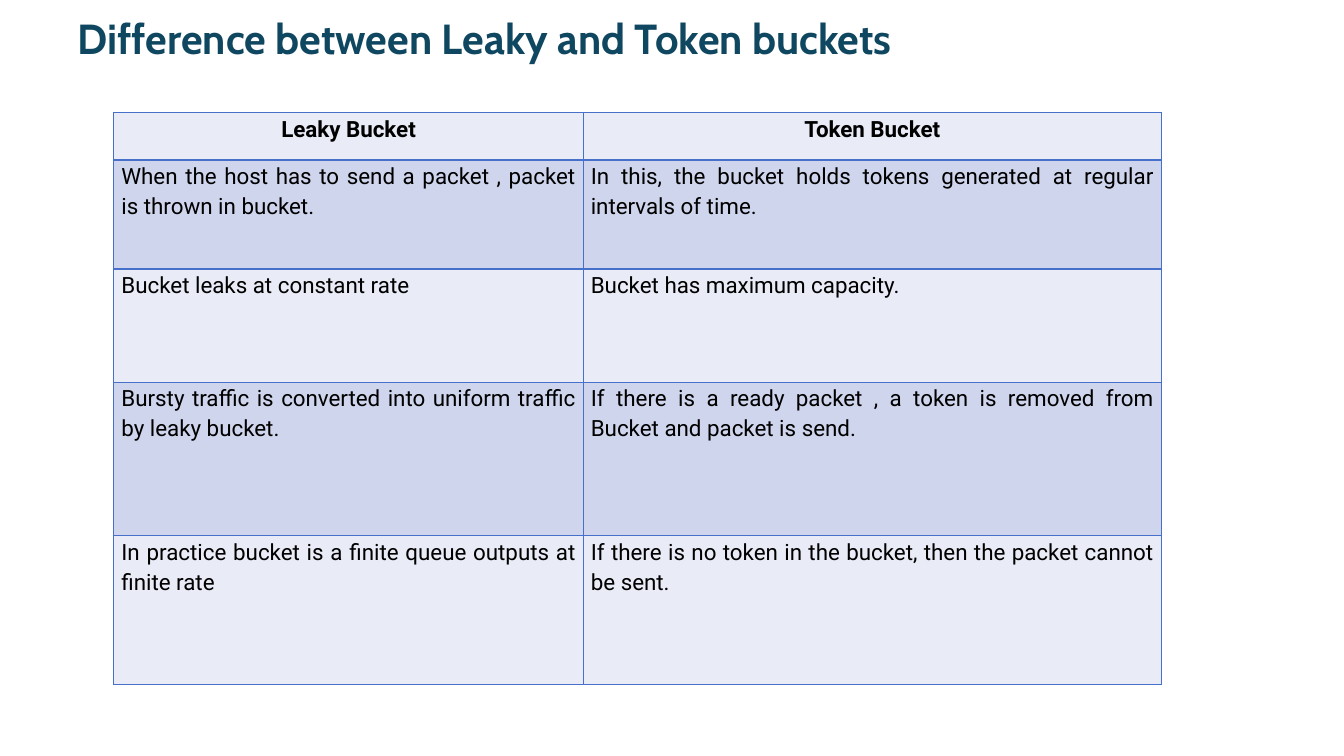
from dataclasses import dataclass

from lxml import etree
from pptx import Presentation
from pptx.dml.color import RGBColor
from pptx.enum import text
from pptx.oxml import ns
from pptx.util import Cm, Pt

# Content
TITLE = "Difference between Leaky and Token buckets"
HEADERS = ("Leaky Bucket", "Token Bucket")
DIFFERENCES = [
    ("When the host has to send a packet , packet is thrown in bucket.",
     "In this, the bucket holds tokens generated at regular intervals of time."),
    ("Bucket leaks at constant rate",
     "Bucket has maximum capacity."),
    ("Bursty traffic is converted into uniform traffic by leaky bucket.",
     "If there is a ready packet , a token is removed from Bucket and packet is send."),
    ("In practice bucket is a finite queue outputs at finite rate",
     "If there is no token in the bucket, then the packet cannot be sent."),
]
COLUMN_WIDTHS = (11.83, 14.57)
ROW_HEIGHTS = (1.19, 2.75, 2.85, 3.87, 3.74)


@dataclass(frozen=True)
class Theme:
    title_font: str = "Cabin"
    body_font: str = "Roboto"
    title_size: int = 30
    body_size: int = 16
    title_color: str = "0F4761"
    body_color: str = "000000"
    border: str = "4670CA"
    bands: tuple = ("E9EBF6", "CFD5EC")


THEME = Theme()


def style_text(para, font, size, color, bold):
    for span in para.runs:
        span.font.name = font
        span.font.size = Pt(size)
        span.font.bold = bold
        span.font.color.rgb = RGBColor.from_string(color)


def add_borders(cell):
    properties = cell._tc.get_or_add_tcPr()
    for side in ("lnL", "lnR", "lnT", "lnB"):
        line = etree.SubElement(properties, ns.qn(f"a:{side}"), w=str(Pt(1)))
        fill = etree.SubElement(line, ns.qn("a:solidFill"))
        etree.SubElement(fill, ns.qn("a:srgbClr"), val=THEME.border)


def fill_cell(cell, words, row):
    is_header = row == 0
    add_borders(cell)
    cell.fill.solid()
    cell.fill.fore_color.rgb = RGBColor.from_string(THEME.bands[row % 2])
    cell.margin_left = cell.margin_right = Cm(0.19)
    cell.margin_top = cell.margin_bottom = 0
    cell.vertical_anchor = text.MSO_ANCHOR.TOP
    cell.text_frame.text = words
    para = cell.text_frame.paragraphs[0]
    para.alignment = text.PP_ALIGN.CENTER if is_header else text.PP_ALIGN.JUSTIFY
    para.line_spacing = 1.15
    para.space_after = Pt(8)
    style_text(para, THEME.body_font, THEME.body_size, THEME.body_color, is_header)


def add_title(page):
    box = page.shapes.add_textbox(Cm(1.7), Cm(0.38), Cm(27.56), Cm(1.32))
    frame = box.text_frame
    frame.word_wrap = True
    frame.vertical_anchor = text.MSO_ANCHOR.MIDDLE
    frame.text = TITLE
    para = frame.paragraphs[0]
    para.line_spacing = 0.9
    style_text(para, THEME.title_font, THEME.title_size, THEME.title_color, True)


def add_comparison(page):
    rows = [HEADERS, *DIFFERENCES]
    table = page.shapes.add_table(
        len(rows), len(HEADERS), Cm(2.87), Cm(2.84),
        Cm(sum(COLUMN_WIDTHS)), Cm(sum(ROW_HEIGHTS))).table
    for column, width in zip(table.columns, COLUMN_WIDTHS):
        column.width = Cm(width)
    for line, height in zip(table.rows, ROW_HEIGHTS):
        line.height = Cm(height)
    for row, entries in enumerate(rows):
        for column, words in enumerate(entries):
            fill_cell(table.cell(row, column), words, row)


def main():
    deck = Presentation()
    deck.slide_width, deck.slide_height = Cm(33.87), Cm(19.05)
    page = deck.slides.add_slide(deck.slide_layouts[6])
    add_title(page)
    add_comparison(page)
    deck.save("out.pptx")


if __name__ == "__main__":
    main()
